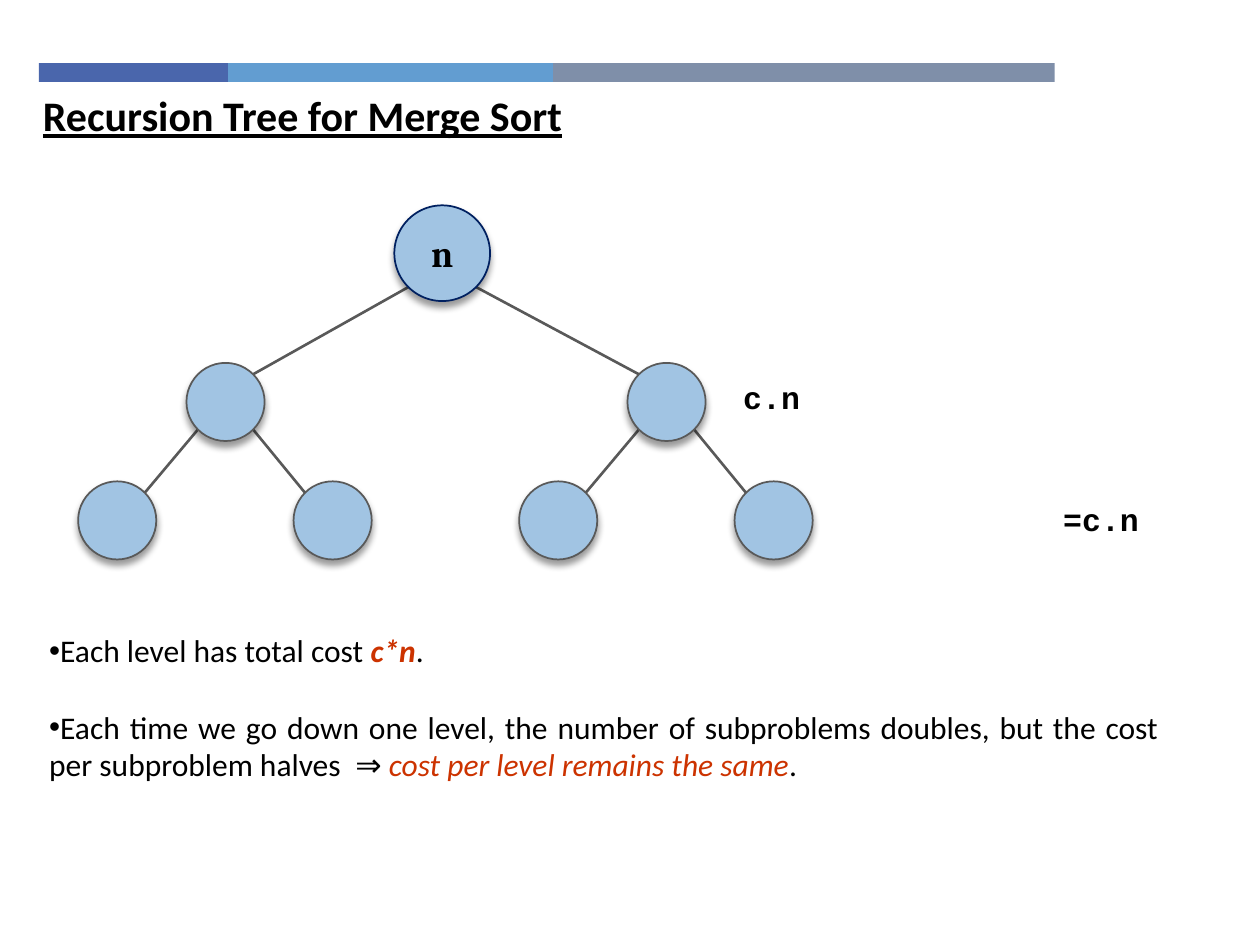
from math import sqrt

from lxml import etree
from pptx import Presentation
from pptx.dml.color import RGBColor
from pptx.enum.shapes import MSO_CONNECTOR, MSO_SHAPE
from pptx.enum.text import MSO_ANCHOR, MSO_AUTO_SIZE, PP_ALIGN
from pptx.oxml.ns import qn
from pptx.util import Inches, Pt

OVAL, RECT = MSO_SHAPE.OVAL, MSO_SHAPE.RECTANGLE
STRAIGHT = MSO_CONNECTOR.STRAIGHT
TOP, MIDDLE = MSO_ANCHOR.TOP, MSO_ANCHOR.MIDDLE
LEFT, CENTER, JUSTIFY = PP_ALIGN.LEFT, PP_ALIGN.CENTER, PP_ALIGN.JUSTIFY
NO_FIT = MSO_AUTO_SIZE.NONE

COLORS = {
    "ink": "000000", "accent": "CC3300", "node": "A1C4E3",
    "outline": "595959", "root": "002060",
    "indigo": "4A66AC", "sky": "629DD1", "slate": "7F8FA9",
}
COLUMNS, ROWS = 100, 75
WIDTH, HEIGHT = Inches(10), Inches(7.5)


class TreeSlide:
    """Holds the style and the current slide, measured in grid columns and rows."""

    def __init__(self, deck):
        self.slide = deck.slides.add_slide(deck.slide_layouts[1])
        self.heading, self.body = self.slide.placeholders

    def box(self, left, top, width, height):
        return (round(WIDTH * left / COLUMNS), round(HEIGHT * top / ROWS),
                round(WIDTH * width / COLUMNS), round(HEIGHT * height / ROWS))

    def color(self, name):
        return RGBColor.from_string(COLORS[name])

    def style(self, font, face, size, bold=False):
        font.name, font.size, font.bold = face, Pt(size), bold
        font.color.rgb = self.color("ink")

    def place(self, placeholder, *area):
        (placeholder.left, placeholder.top,
         placeholder.width, placeholder.height) = self.box(*area)
        frame = placeholder.text_frame
        frame.auto_size, frame.vertical_anchor = NO_FIT, TOP
        return frame

    def title(self, text, *area):
        frame = self.place(self.heading, *area)
        frame.text = text
        line = frame.paragraphs[0]
        line.alignment = LEFT
        self.style(line.font, "Calibri", 24, True)
        line.font.underline = True

    def bullets(self, items, *area):
        frame = self.place(self.body, *area)
        for index, parts in enumerate(items):
            item = frame.paragraphs[0] if index == 0 else frame.add_paragraph()
            item.alignment = JUSTIFY
            item.space_before = Pt(22 if index else 0)
            properties = item._p.get_or_add_pPr()
            properties.set("marL", "0")
            properties.set("indent", "0")
            self.style(item.font, "Calibri", 18)
            for text, emphasis, bold in parts:
                run = item.add_run()
                run.text = text
                if emphasis:
                    run.font.color.rgb = self.color("accent")
                    run.font.italic = True
                if bold:
                    run.font.bold = True

    def label(self, text, *area):
        note = self.slide.shapes.add_textbox(*self.box(*area))
        note.text_frame.word_wrap = True
        line = note.text_frame.paragraphs[0]
        line.text = text
        self.style(line.font, "Courier New", 18, True)

    def band(self, color, *area):
        stripe = self.slide.shapes.add_shape(RECT, *self.box(*area))
        stripe.shadow.inherit = False
        stripe.fill.solid()
        stripe.fill.fore_color.rgb = self.color(color)
        stripe.line.fill.background()

    def edge(self, parent, child):
        side = 1 if child[0] > parent[0] else -1
        reach = [radius / sqrt(2) for radius in (parent[2], child[2])]
        left, top, right, bottom = self.box(
            parent[0] + side * reach[0], parent[1] + reach[0],
            child[0] - side * reach[1], child[1] - reach[1])
        branch = self.slide.shapes.add_connector(STRAIGHT, left, top, right, bottom)
        branch.line.color.rgb = self.color("outline")
        branch.line.width = Pt(1.5)
        etree.SubElement(branch._element.spPr, qn("a:effectLst"))

    def node(self, x, y, radius, text="", outline="outline"):
        circle = self.slide.shapes.add_shape(
            OVAL, *self.box(x - radius, y - radius, 2 * radius, 2 * radius))
        circle.fill.solid()
        circle.fill.fore_color.rgb = self.color("node")
        circle.line.color.rgb = self.color(outline)
        circle.line.width = Pt(1)
        self.drop_shadow(circle)
        if text:
            frame = circle.text_frame
            frame.word_wrap, frame.vertical_anchor = False, MIDDLE
            line = frame.paragraphs[0]
            line.text, line.alignment = text, CENTER
            self.style(line.font, "Cambria", 21, True)

    def drop_shadow(self, shape):
        shape.shadow.inherit = False
        effects = shape._element.spPr.find(qn("a:effectLst"))
        shadow = etree.SubElement(
            effects, qn("a:outerShdw"), blurRad=str(Pt(4)), dist=str(Pt(3)),
            dir="5400000", rotWithShape="0")
        tint = etree.SubElement(shadow, qn("a:srgbClr"), val=COLORS["ink"])
        etree.SubElement(tint, qn("a:alpha"), val="40000")


def main():
    deck = Presentation()
    deck.slide_width, deck.slide_height = WIDTH, HEIGHT
    page = TreeSlide(deck)

    left = 3.1
    for color, width in (("indigo", 15), ("sky", 25.8), ("slate", 39.8)):
        page.band(color, left, 5, width, 1.5)
        left += width
    page.title("Recursion Tree for Merge Sort", 2.4, 6.6, 47.6, 4.6)

    root = (35.1, 20.1, 3.8)
    halves = [(x, 31.9, 3.1) for x in (17.9, 52.9)]
    quarters = [[(x + shift, 41.3, 3.1) for shift in (-8.6, 8.5)]
                for x, _, _ in halves]
    for half, pair in zip(halves, quarters):
        page.edge(root, half)
        for quarter in pair:
            page.edge(half, quarter)
    for node in halves + sum(quarters, []):
        page.node(*node)
    page.node(*root, text="n", outline="root")

    page.label("c.n", 58, 29.5, 7.2, 4)
    page.label("=c.n", 83.4, 39.2, 16.6, 4)
    page.bullets([
        [("Each level has total cost ", False, False), ("c*n", True, True),
         (".", False, False)],
        [("Each time we go down one level, the number of subproblems doubles, "
          "but the cost per subproblem halves  ⇒ ", False, False),
         ("cost per level remains the same", True, False), (".", False, False)],
    ], 2.9, 49.6, 90.1, 13.1)
    deck.save("out.pptx")


if __name__ == "__main__":
    main()
